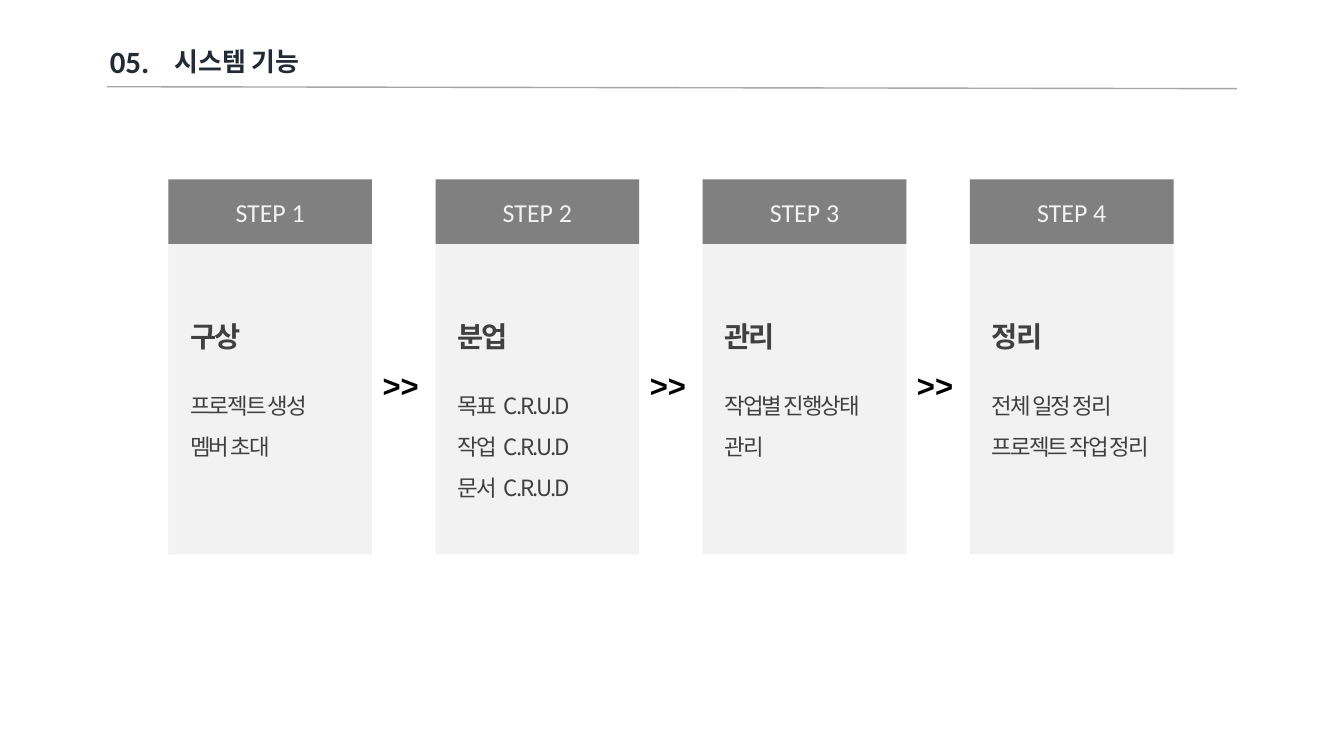
from lxml.etree import SubElement
from pptx import Presentation
from pptx.dml.color import RGBColor
from pptx.enum.shapes import MSO_CONNECTOR, MSO_SHAPE
from pptx.enum.text import MSO_ANCHOR, MSO_AUTO_SIZE, PP_ALIGN
from pptx.oxml.ns import qn
from pptx.util import Inches, Pt

COLORS = {"ink": "222A35", "rule": "A6A6A6", "header": "808080",
          "card": "F2F2F2", "body": "404040", "arrow": "000000"}
KOREAN, LATIN, SYMBOL = "Noto Sans CJK KR", "Calibri", "Arial"

# Grid of 100 columns by 100 rows
CARD_LEFT, CARD_TOP, CARD_W, CARD_H = 12.53, 23.73, 15.15, 49.6
CARD_PITCH, HEADER_H = 19.88, 8.53
TAB_STOP = Inches(0.46)

STEPS = [
    ("구상", ["프로젝트 생성", "멤버 초대"]),
    ("분업", ["목표\tC.R.U.D", "작업\tC.R.U.D", "문서\tC.R.U.D"]),
    ("관리", ["작업별 진행상태", "관리"]),
    ("정리", ["전체 일정 정리", "프로젝트 작업 정리"]),
]


class Deck:
    def __init__(self):
        self.prs = Presentation()
        self.prs.slide_width, self.prs.slide_height = Inches(13.33), Inches(7.5)
        self.s = self.prs.slides.add_slide(self.prs.slide_layouts[5])

    def grid(self, x, y):
        """Turn a column and a row into lengths on the slide."""
        return (int(self.prs.slide_width * x / 100),
                int(self.prs.slide_height * y / 100))

    def frame(self, sp, anchor=MSO_ANCHOR.MIDDLE):
        tf = sp.text_frame
        tf.auto_size = MSO_AUTO_SIZE.NONE
        tf.word_wrap = True
        tf.vertical_anchor = anchor
        return tf

    def run(self, p, text, size, font, color, bold=False, spacing=None):
        r = p.add_run()
        r.text = text
        r.font.size, r.font.name, r.font.bold = Pt(size), font, bold
        r.font.color.rgb = RGBColor.from_string(COLORS[color])
        props = r.font._element
        SubElement(props, qn("a:ea")).set("typeface", font)
        if spacing is not None:
            props.set("spc", str(round(spacing * 100)))

    def title(self, x, y, w, h, text):
        sp = self.s.shapes.title
        sp.left, sp.top = self.grid(x, y)
        sp.width, sp.height = self.grid(w, h)
        p = self.frame(sp).paragraphs[0]
        p.alignment = PP_ALIGN.LEFT
        self.run(p, text, 18.5, KOREAN, "ink", bold=True)

    def label(self, x, y, w, h, text, font, color, align):
        sp = self.s.shapes.add_textbox(*self.grid(x, y), *self.grid(w, h))
        p = self.frame(sp).paragraphs[0]
        p.alignment = align
        self.run(p, text, 22.1, font, color, bold=True)

    def rule(self, x1, y1, x2, y2):
        line = self.s.shapes.add_connector(
            MSO_CONNECTOR.STRAIGHT, *self.grid(x1, y1), *self.grid(x2, y2))
        line.line.color.rgb = RGBColor.from_string(COLORS["rule"])
        line.line.width = Pt(1)
        SubElement(line._element.spPr, qn("a:effectLst"))

    def panel(self, x, y, w, h, color):
        sp = self.s.shapes.add_shape(
            MSO_SHAPE.RECTANGLE, *self.grid(x, y), *self.grid(w, h))
        sp.shadow.inherit = False
        sp.fill.solid()
        sp.fill.fore_color.rgb = RGBColor.from_string(COLORS[color])
        sp.line.fill.background()
        return sp

    def details(self, x, y, w, h, heading, items):
        sp = self.s.shapes.add_textbox(*self.grid(x, y), *self.grid(w, h))
        tf = self.frame(sp, MSO_ANCHOR.TOP)
        p = tf.paragraphs[0]
        p.alignment, p.line_spacing = PP_ALIGN.JUSTIFY, Pt(37.2)
        self.run(p, heading, 20.3, KOREAN, "body", bold=True, spacing=-1.4)
        for i, item in enumerate(items):
            p = tf.add_paragraph()
            p.alignment, p.line_spacing = PP_ALIGN.JUSTIFY, Pt(29.2)
            p.space_before = Pt(0 if i else 17.6)
            words = item.split("\t")
            if len(words) > 1:
                tabs = SubElement(p._p.get_or_add_pPr(), qn("a:tabLst"))
                tab = SubElement(tabs, qn("a:tab"))
                tab.set("pos", str(TAB_STOP))
                tab.set("algn", "l")
            self.run(p, item, 16, KOREAN, "body", spacing=-1.4)

    def step(self, number, heading, items):
        x = CARD_LEFT + (number - 1) * CARD_PITCH
        self.panel(x, CARD_TOP, CARD_W, CARD_H, "card")
        header = self.panel(x, CARD_TOP, CARD_W, HEADER_H, "header")
        p = self.frame(header).paragraphs[0]
        p.alignment = PP_ALIGN.CENTER
        self.run(p, f"STEP {number}", 18.5, LATIN, "card")
        self.details(x + 0.9, 39.2, 13.8, 26.7, heading, items)
        if number < len(STEPS):
            self.label(x + CARD_W + 0.05, 47.87, 4.8, 6.27, ">>",
                       SYMBOL, "arrow", PP_ALIGN.LEFT)


def main():
    deck = Deck()
    deck.title(12.23, 5.33, 18.98, 5.47, "시스템 기능")
    deck.label(7.28, 4.93, 4.73, 6.27, "05.", LATIN, "ink", PP_ALIGN.CENTER)
    deck.rule(7.95, 11.47, 92.03, 11.73)
    for number, (heading, items) in enumerate(STEPS, 1):
        deck.step(number, heading, items)
    deck.prs.save("out.pptx")


if __name__ == "__main__":
    main()
